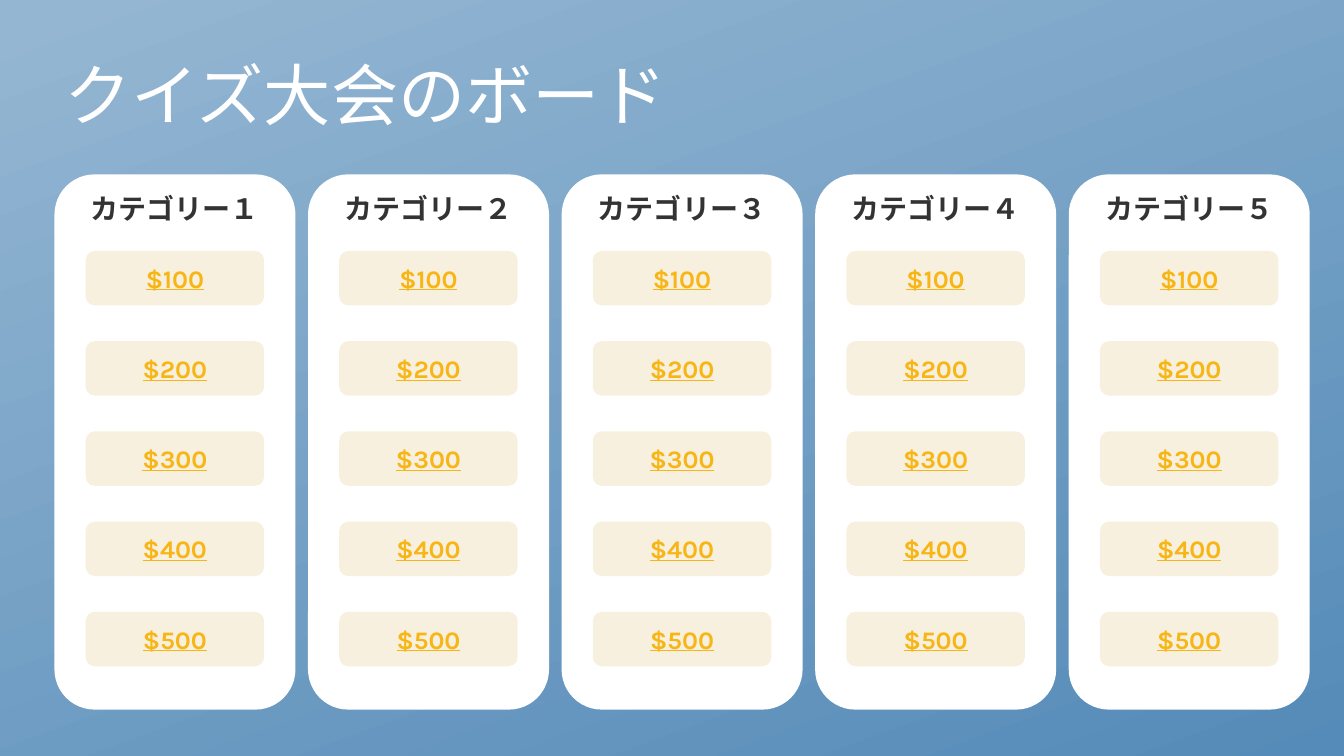
from pptx import Presentation
from pptx.dml.color import RGBColor
from pptx.enum.shapes import MSO_SHAPE as Shape
from pptx.enum.text import MSO_ANCHOR as Anchor, PP_ALIGN as Align
from pptx.util import Inches, Pt

COLORS = {
    "sky": "94B6D2",
    "ocean": "558BB8",
    "white": "FFFFFF",
    "ink": "333333",
    "cream": "F7F0DE",
    "gold": "F7B615",
}
TITLE_FONT = {"name": "Open Sans", "size": Pt(48)}
CATEGORY_FONT = {"name": "Karla", "size": Pt(20), "bold": True}
PRICE_FONT = {"name": "Karla", "size": Pt(18), "bold": True, "underline": True}

CATEGORIES = ["カテゴリー１", "カテゴリー２", "カテゴリー３", "カテゴリー４", "カテゴリー５"]
PRICES = ["$100", "$200", "$300", "$400", "$500"]
BOARD_LEFT, BOARD_TOP = 0.54, 1.73
COLUMN_STEP = 10.06 / 4
TILE_INDENT, FIRST_TILE_TOP = 0.31, 2.49
TILE_STEP = 3.58 / 4


def color(name):
    """Return the palette colour with this name."""
    return RGBColor.from_string(COLORS[name])


def paint_background(page):
    """Fill the page with a slanted blue gradient."""
    fill = page.background.fill
    fill.gradient()
    fill.gradient_angle = 290
    for stop, name, position in zip(fill.gradient_stops, ("sky", "ocean"), (0.02, 1)):
        stop.color.rgb = color(name)
        stop.position = position


def write(box, text, ink, font, anchor, align):
    """Put one formatted paragraph in a box and return it."""
    frame = box.text_frame
    frame.word_wrap = True
    frame.vertical_anchor = anchor
    para = frame.paragraphs[0]
    para.alignment = align
    span = para.add_run()
    span.text = text
    for key, value in font.items():
        setattr(span.font, key, value)
    span.font.color.rgb = color(ink)
    return para


def add_title(page, text):
    """Add the heading of the board."""
    box = page.shapes.add_textbox(Inches(0.54), Inches(0.25), Inches(11.5), Inches(1.45))
    para = write(box, text, "white", TITLE_FONT, Anchor.MIDDLE, Align.LEFT)
    para.line_spacing = 0.9


def add_card(page, place, fill, text, ink, font, anchor):
    """Add a rounded card with centred text."""
    lengths = [Inches(value) for value in place]
    card = page.shapes.add_shape(Shape.FLOWCHART_ALTERNATE_PROCESS, *lengths)
    card.shadow.inherit = False
    card.fill.solid()
    card.fill.fore_color.rgb = color(fill)
    card.line.fill.background()
    write(card, text, ink, font, anchor, Align.CENTER)


def add_column(page, left, category):
    """Add a category card with its price tiles."""
    place = (left, BOARD_TOP, 2.39, 5.31)
    add_card(page, place, "white", category, "ink", CATEGORY_FONT, Anchor.TOP)
    for row, price in enumerate(PRICES):
        place = (left + TILE_INDENT, FIRST_TILE_TOP + row * TILE_STEP, 1.77, 0.54)
        add_card(page, place, "cream", price, "gold", PRICE_FONT, Anchor.MIDDLE)


def main():
    """Build the quiz board and save it."""
    deck = Presentation()
    deck.slide_width, deck.slide_height = Inches(13.33), Inches(7.5)
    page = deck.slides.add_slide(deck.slide_layouts[6])
    paint_background(page)
    add_title(page, "クイズ大会のボード")
    for index, category in enumerate(CATEGORIES):
        add_column(page, BOARD_LEFT + index * COLUMN_STEP, category)
    deck.save("out.pptx")


if __name__ == "__main__":
    main()
